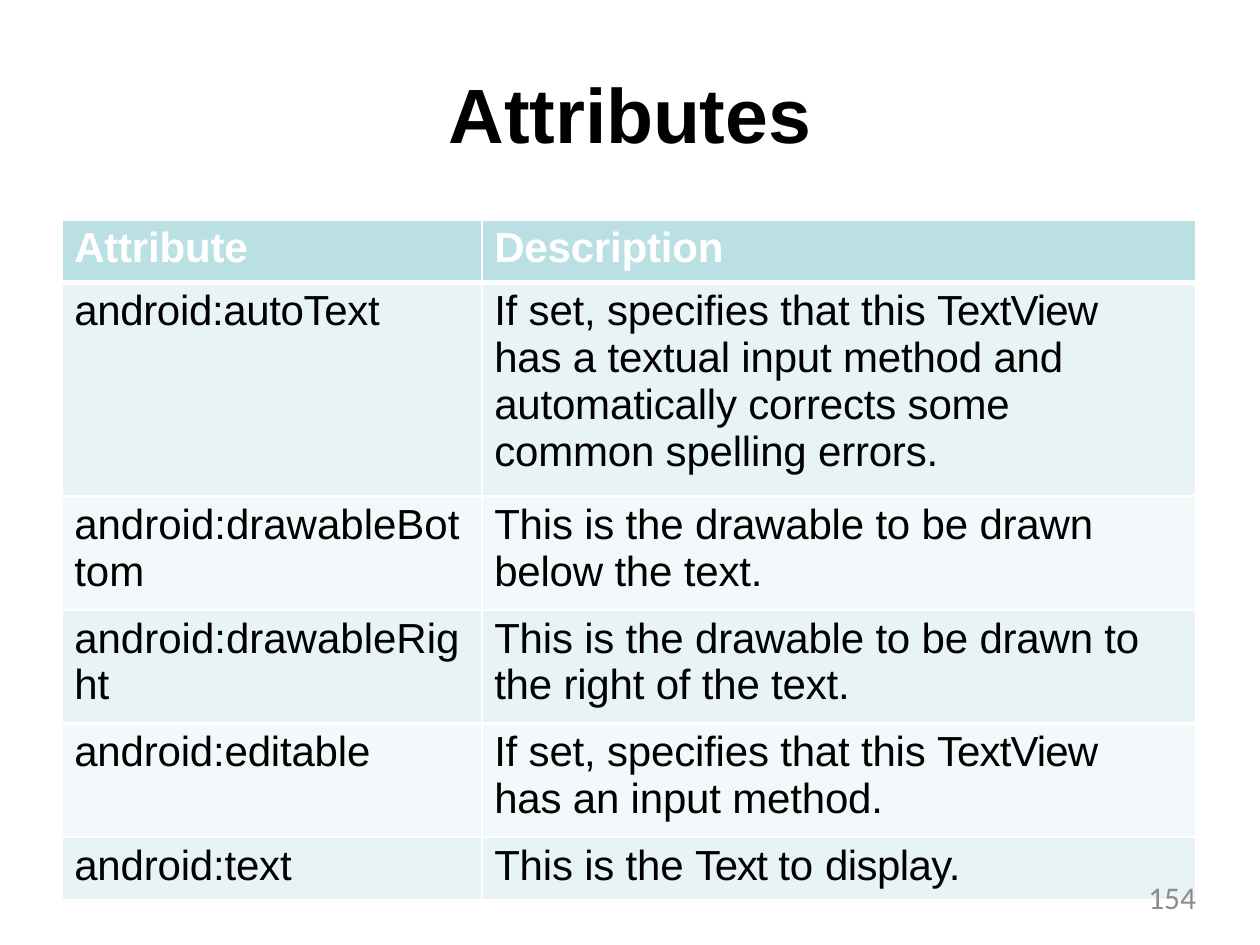
from lxml import etree
from pptx import Presentation
from pptx import util as u
from pptx.dml.color import RGBColor
from pptx.enum import text
from pptx.oxml import ns

COLORS = {"header": "BAE0E3", "odd": "E7F3F4", "even": "F3F9FA",
          "rule": "FFFFFF", "ink": "000000", "page": "8C8C8C"}


def add_run(paragraph, words, size, color, bold=False, font="Arial", spacing=0):
    run = paragraph.add_run()
    run.text = words
    run.font.name, run.font.size, run.font.bold = font, u.Pt(size), bold
    run.font.color.rgb = RGBColor.from_string(COLORS[color])
    if spacing:
        run.font._element.set("spc", str(round(spacing * 100)))


def add_border(cell, side, width):
    line = etree.SubElement(cell._tc.get_or_add_tcPr(), ns.qn(f"a:ln{side}"),
                            w=str(u.Pt(width)))
    fill = etree.SubElement(line, ns.qn("a:solidFill"))
    etree.SubElement(fill, ns.qn("a:srgbClr"), val=COLORS["rule"])


deck = Presentation()
deck.slide_width, deck.slide_height = u.Pt(720), u.Pt(540)
slide = deck.slides.add_slide(deck.slide_layouts[6])

# Attribute table: each cell is a list of (words, letter spacing)
rows = [
    (36, [("Attribute", -0.1)], [("Description", -0.1)]),
    (122, [("android:autoText", -0.2)],
     [("If set, specifies that this ", -0.1), ("TextView ", -0.5),
      ("has a textual input method and automatically corrects some "
       "common spelling errors.", -0.1)]),
    (65, [("android:drawableBot tom", 0)],
     [("This is the drawable to be drawn below the text.", -0.1)]),
    (65, [("android:drawableRig ht", 0)],
     [("This is the drawable to be drawn to the right of the text.", -0.1)]),
    (65, [("android:editable", -0.1)],
     [("If set, specifies that this ", -0.1), ("TextView ", -0.5),
      ("has an input method.", -0.1)]),
    (36, [("android:text", -0.1)],
     [("This is the ", -0.1), ("Text ", -0.8), ("to ", 0), ("display.", -0.3)]),
]
column_widths = [240, 408]
right_margins = [0, 14]
attributes = slide.shapes.add_table(
    len(rows), 2, u.Pt(35.5), u.Pt(125.5), u.Pt(sum(column_widths)),
    u.Pt(sum(row[0] for row in rows))).table
for column, width in zip(attributes.columns, column_widths):
    column.width = u.Pt(width)

for r, (height, *contents) in enumerate(rows):
    attributes.rows[r].height = u.Pt(height)
    band = "header" if r == 0 else "odd" if r % 2 else "even"
    for c, pieces in enumerate(contents):
        cell = attributes.cell(r, c)
        cell.margin_left, cell.margin_right = u.Pt(7), u.Pt(right_margins[c])
        cell.margin_top, cell.margin_bottom = u.Pt(3), u.Pt(0)
        # Borders come before the fill in the cell properties
        for side in "LRTB":
            heavy = (r, side) in ((0, "B"), (1, "T"))
            add_border(cell, side, 3 if heavy else 1.5)
        cell.fill.solid()
        cell.fill.fore_color.rgb = RGBColor.from_string(COLORS[band])
        for words, spacing in pieces:
            add_run(cell.text_frame.paragraphs[0], words, 24,
                    "rule" if r == 0 else "ink", bold=r == 0, spacing=spacing)

# Title and page number
labels = [
    ((255, 38, 210, 55), text.PP_ALIGN.CENTER,
     dict(words="Attributes", size=44, color="ink", bold=True, spacing=-0.1)),
    ((518.5, 502, 165, 27), text.PP_ALIGN.RIGHT,
     dict(words="154", size=18, color="page", font="Calibri")),
]
for place, alignment, style in labels:
    frame = slide.shapes.add_textbox(*map(u.Pt, place)).text_frame
    frame.word_wrap = True
    frame.margin_left = frame.margin_right = 0
    frame.margin_top = frame.margin_bottom = 0
    frame.paragraphs[0].alignment = alignment
    add_run(frame.paragraphs[0], **style)

deck.save("out.pptx")
